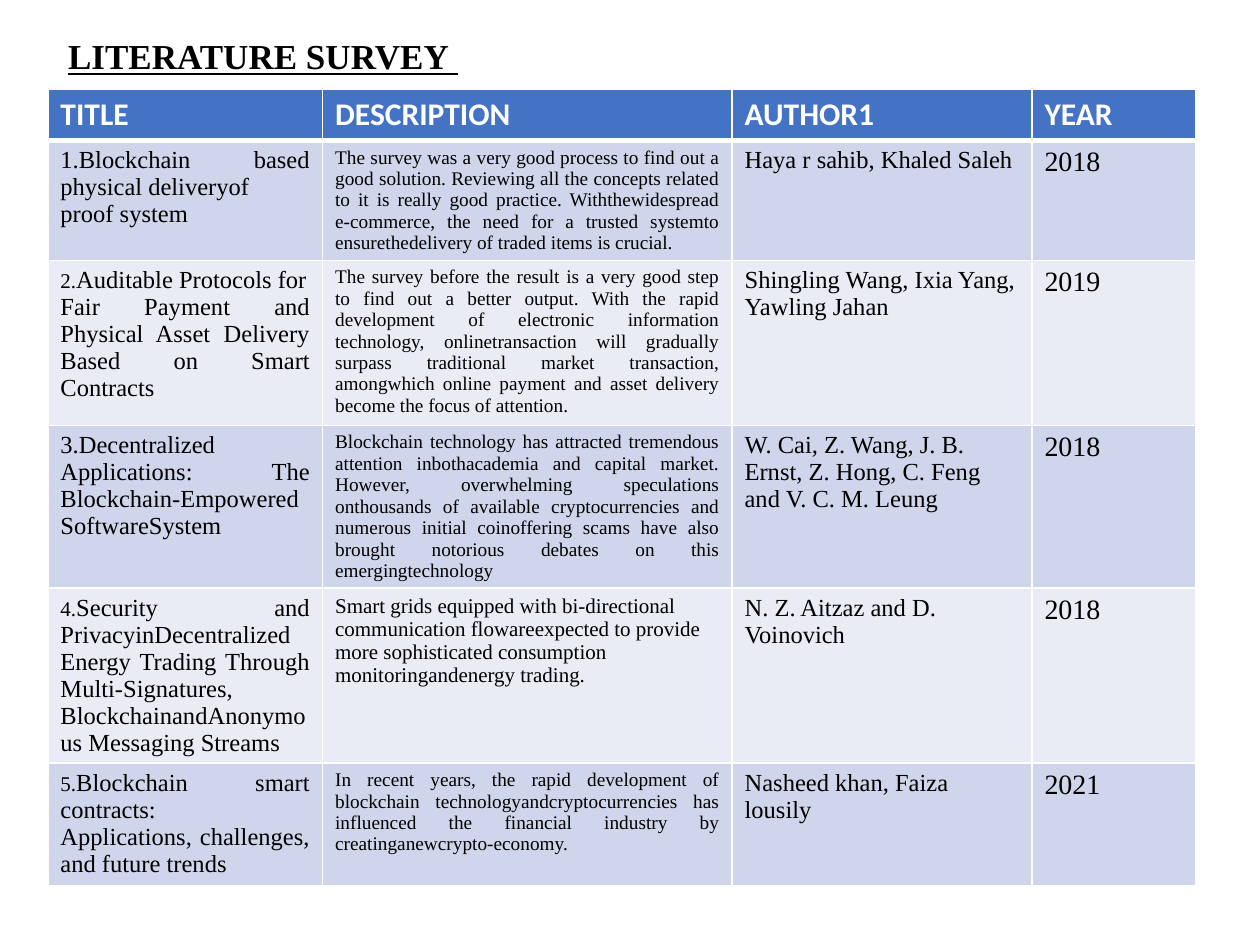
"""Build the literature survey slide with its table of five papers."""
from dataclasses import dataclass

from lxml import etree
from pptx import Presentation
from pptx.dml.color import RGBColor
from pptx.enum import text
from pptx.oxml import ns
from pptx.util import Inches, Pt


@dataclass(frozen=True)
class Theme:
    heading_font: str = "Calibri"
    body_font: str = "Times New Roman"
    black: str = "000000"
    white: str = "FFFFFF"
    header_fill: str = "4472C4"
    band_fills: tuple = ("CFD5EA", "E9EBF5")
    title_size: int = 20
    header_size: int = 18
    year_size: int = 16
    entry_size: int = 14
    number_size: int = 12
    description_size: int = 11


theme = Theme()
LEFT, JUSTIFY = text.PP_ALIGN.LEFT, text.PP_ALIGN.JUSTIFY


def add_run(paragraph, words, size, font=theme.body_font, color=theme.black, bold=False):
    run = paragraph.add_run()
    run.text = words
    run.font.size = Pt(size)
    run.font.name = font
    run.font.color.rgb = RGBColor.from_string(color)
    run.font.bold = bold
    return run


def style_cell(cell, fill, bottom_width=1):
    cell.fill.solid()
    cell.fill.fore_color.rgb = RGBColor.from_string(fill)
    properties = cell._tc.get_or_add_tcPr()
    for index, side in enumerate(("lnL", "lnR", "lnT", "lnB")):
        width = bottom_width if side == "lnB" else 1
        line = etree.Element(ns.qn(f"a:{side}"), w=str(Pt(width)))
        solid = etree.SubElement(line, ns.qn("a:solidFill"))
        etree.SubElement(solid, ns.qn("a:srgbClr"), val=theme.white)
        properties.insert(index, line)


headings = ["TITLE", "DESCRIPTION", "AUTHOR1", "YEAR"]
papers = [
    (theme.entry_size, ["Blockchain based physical deliveryof", "proof system"],
     "The survey was a very good process to find out a good solution. Reviewing all the "
     "concepts related to it is really good practice. Withthewidespread e-commerce, the need "
     "for a trusted systemto ensurethedelivery of traded items is crucial.",
     theme.description_size, JUSTIFY, "Haya r sahib, Khaled Saleh", "2018"),
    (theme.number_size, ["Auditable Protocols for",
                         "Fair Payment and Physical Asset Delivery Based on Smart Contracts"],
     "The survey before the result is a very good step to find out a better output. With the "
     "rapid development of electronic information technology, onlinetransaction will gradually "
     "surpass traditional market transaction, amongwhich online payment and asset delivery "
     "become the focus of attention.",
     theme.description_size, JUSTIFY, "Shingling Wang, Ixia Yang, Yawling Jahan", "2019"),
    (theme.entry_size, ["Decentralized Applications: The Blockchain-Empowered SoftwareSystem "],
     "Blockchain technology has attracted tremendous attention inbothacademia and capital "
     "market. However, overwhelming speculations onthousands of available cryptocurrencies and "
     "numerous initial coinoffering scams have also brought notorious debates on this "
     "emergingtechnology",
     theme.description_size, JUSTIFY,
     "W. Cai, Z. Wang, J. B. Ernst, Z. Hong, C. Feng and V. C. M. Leung", "2018"),
    (theme.number_size, ["Security and PrivacyinDecentralized Energy Trading Through "
                         "Multi-Signatures, BlockchainandAnonymous Messaging Streams"],
     "Smart grids equipped with bi-directional communication flowareexpected to provide more "
     "sophisticated consumption monitoringandenergy trading.",
     theme.number_size, LEFT, "N. Z. Aitzaz and D. Voinovich", "2018"),
    (theme.number_size, ["Blockchain smart contracts:",
                         "Applications, challenges, and future trends"],
     "In recent years, the rapid development of blockchain technologyandcryptocurrencies has "
     "influenced the financial industry by creatinganewcrypto-economy.",
     theme.description_size, JUSTIFY, "Nasheed khan, Faiza lousily", "2021"),
]
column_widths = [2.18, 3.25, 2.38, 1.3]
row_heights = [0.35, 0.91, 1.31, 1.04, 1.36, 0.97]

presentation = Presentation()
presentation.slide_width, presentation.slide_height = Inches(10), Inches(7.5)
slide = presentation.slides.add_slide(presentation.slide_layouts[5])

title = slide.shapes.title
title.left, title.top = Inches(0.44), Inches(0.15)
title.width, title.height = Inches(8.62), Inches(0.63)
title.text_frame.vertical_anchor = text.MSO_ANCHOR.MIDDLE
title_paragraph = title.text_frame.paragraphs[0]
title_paragraph.alignment = LEFT
title_paragraph.line_spacing = 0.9
for words, bold in (("LITERATURE SURVEY", True), (" ", False)):
    add_run(title_paragraph, words, theme.title_size, bold=bold).font.underline = True

table = slide.shapes.add_table(
    len(row_heights), len(column_widths), Inches(0.38), Inches(0.71),
    Inches(sum(column_widths)), Inches(sum(row_heights))).table
for column, width in zip(table.columns, column_widths):
    column.width = Inches(width)
for row, height in zip(table.rows, row_heights):
    row.height = Inches(height)

for column_index, heading in enumerate(headings):
    cell = table.cell(0, column_index)
    style_cell(cell, theme.header_fill, bottom_width=3)
    add_run(cell.text_frame.paragraphs[0], heading, theme.header_size,
            theme.heading_font, theme.white, True)

for number, paper in enumerate(papers, start=1):
    number_size, title_lines, description, description_size, alignment, authors, year = paper
    cells = [table.cell(number, column_index) for column_index in range(len(headings))]
    for cell in cells:
        style_cell(cell, theme.band_fills[(number - 1) % 2])

    for line_index, line in enumerate(title_lines):
        frame = cells[0].text_frame
        paragraph = frame.add_paragraph() if line_index else frame.paragraphs[0]
        paragraph.alignment = JUSTIFY
        if line_index == 0:
            add_run(paragraph, f"{number}.", number_size)
        add_run(paragraph, line, theme.entry_size)

    entries = [(description, description_size, alignment),
               (authors, theme.entry_size, LEFT),
               (year, theme.year_size, LEFT)]
    for cell, (words, size, entry_alignment) in zip(cells[1:], entries):
        paragraph = cell.text_frame.paragraphs[0]
        paragraph.alignment = entry_alignment
        add_run(paragraph, words, size)

presentation.save("out.pptx")
